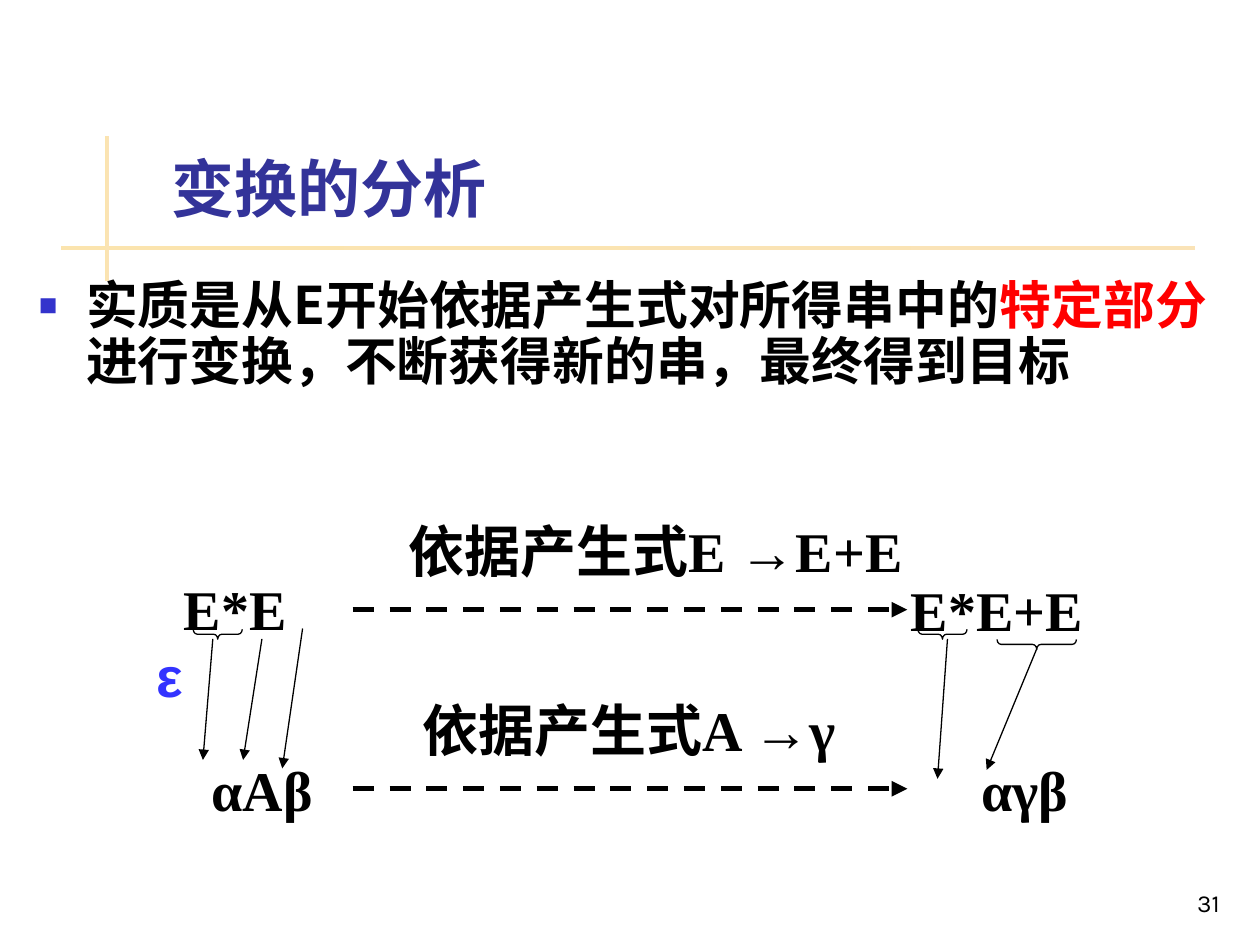
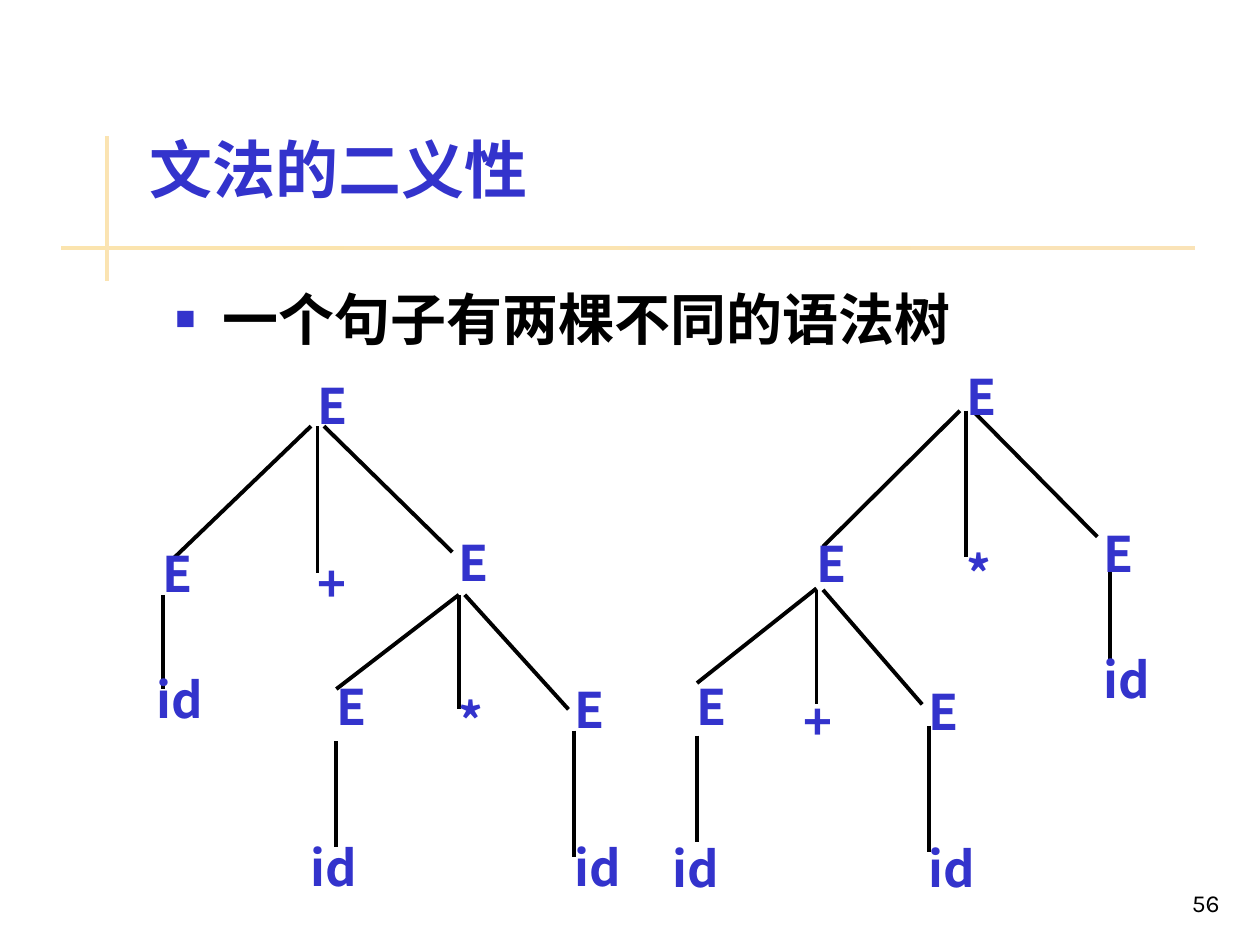
from dataclasses import dataclass
from typing import NamedTuple

from lxml.etree import SubElement as Sub
from pptx import Presentation
from pptx.dml.color import RGBColor
from pptx.enum.dml import MSO_LINE as Dash
from pptx.enum.shapes import MSO_CONNECTOR as Link, MSO_SHAPE as Kind
from pptx.enum.text import MSO_ANCHOR as Anchor, MSO_AUTO_SIZE as Fit, PP_ALIGN as Align
from pptx.oxml import parse_xml
from pptx.oxml.ns import nsdecls, qn
from pptx.util import Cm, Pt

BLACK, RED, BLUE = "000000", "FF0000", "3333CC"
NAVY, BRIGHT = "333399", "3333FF"
GOLD = "FBE4AE", "FAE3B7"
SERIF, SANS, HAN, HAN_JP = "Times New Roman", "Karla", "Noto Sans CJK SC", "Noto Sans CJK JP"


class Box(NamedTuple):
    """A frame in centimetres."""
    x: float
    y: float
    w: float
    h: float


class Face(NamedTuple):
    """How text looks."""
    name: str
    size: float
    color: str = BLACK
    bold: bool = True


class Node(NamedTuple):
    """A symbol of a syntax tree, at its top left corner."""
    text: str
    x: float
    y: float


class Edge(NamedTuple):
    """A straight line from one point to another."""
    x1: float
    y1: float
    x2: float
    y2: float


@dataclass
class Tree:
    """A syntax tree with the width of its labels."""
    width: float
    nodes: list[Node]
    edges: list[Edge]


BANDS = [Box(2.11, 2.75, 0.08, 2.92), Box(1.23, 4.95, 22.86, 0.09)]
MATH = Face(SERIF, 32)
SYMBOL = Face(HAN, 28, BLUE)

RULES = [
    ("依据产生式E →E+E", Box(7.98, 10.29, 11.2, 1.63)),
    ("E*E+E", Box(18.11, 11.48, 4.3, 1.63)),
    ("αAβ", Box(4.01, 15.11, 2.9, 1.63)),
    ("依据产生式A →γ", Box(8.26, 13.89, 9.6, 1.63)),
    ("αγβ", Box(19.53, 15.11, 2.6, 1.63)),
]
STEPS = [Edge(7.11, y, 18.29, y) for y in (12.29, 15.9)]
BRACES = [Box(4.29, 12.29, 0.2, 0.99), Box(18.9, 12.29, 0.2, 0.99), Box(20.8, 12.19, 0.2, 1.6)]
MAPS = [
    Edge(4.29, 12.88, 4.09, 15.32),
    Edge(5.28, 12.88, 4.9, 15.32),
    Edge(6.1, 12.67, 5.69, 15.49),
    Edge(19.1, 12.88, 18.9, 15.7),
    Edge(20.9, 13.08, 19.89, 15.52),
]

SUM = Tree(
    1.96,
    [Node("E", 6.15, 7.32), Node("E", 3.02, 10.72), Node("+", 6.15, 10.92),
     Node("E", 8.99, 10.49), Node("id", 2.9, 13.26), Node("E", 6.53, 13.39),
     Node("*", 8.99, 13.67), Node("E", 11.33, 13.46),
     Node("id", 6.02, 16.64), Node("id", 11.33, 16.64)],
    [Edge(6.27, 8.59, 3.4, 11.35), Edge(6.4, 8.59, 6.4, 11.56),
     Edge(6.53, 8.59, 9.12, 11.13), Edge(3.28, 11.99, 3.28, 13.89),
     Edge(9.25, 11.99, 6.78, 13.89), Edge(9.25, 11.99, 9.25, 14.3),
     Edge(9.37, 11.99, 11.46, 14.3), Edge(6.78, 14.94, 6.78, 17.07),
     Edge(11.58, 14.73, 11.58, 17.27)],
)
PRODUCT = Tree(
    1.88,
    [Node("E", 19.23, 7.14), Node("E", 16.21, 10.52), Node("*", 19.23, 10.72),
     Node("E", 22, 10.31), Node("id", 22, 12.85), Node("E", 13.79, 13.39),
     Node("+", 15.95, 13.69), Node("E", 18.47, 13.49),
     Node("id", 13.31, 16.66), Node("id", 18.47, 16.66)],
    [Edge(19.35, 8.28, 16.59, 11.02), Edge(19.48, 8.28, 19.48, 11.23),
     Edge(19.61, 8.28, 22.12, 10.82), Edge(22.38, 11.46, 22.38, 13.36),
     Edge(16.46, 11.86, 14.05, 13.77), Edge(16.46, 11.89, 16.46, 14.2),
     Edge(16.59, 11.89, 18.59, 14.2), Edge(14.05, 14.83, 14.05, 16.97),
     Edge(18.72, 14.63, 18.72, 17.17)],
)


def paint(target, color: str) -> None:
    """Give a solid colour to a fill, a font or a gradient stop."""
    if hasattr(target, "solid"):
        target.solid()
        target.fore_color.rgb = RGBColor.from_string(color)
    else:
        target.color.rgb = RGBColor.from_string(color)


def style(para, face: Face) -> None:
    """Set the font of a whole paragraph, Chinese characters included."""
    font = para.font
    font.name, font.size, font.bold = face.name, Pt(face.size), face.bold
    paint(font, face.color)
    east = face.name if face.name == HAN_JP else HAN
    Sub(para._p.pPr.find(qn("a:defRPr")), qn("a:ea"), typeface=east)


def place(shape, box: Box) -> None:
    """Move and size a shape."""
    shape.left, shape.top, shape.width, shape.height = map(Cm, box)


def write(slide, text: str, box: Box, face: Face):
    """Add a text box and return its paragraph."""
    frame = slide.shapes.add_textbox(*map(Cm, box)).text_frame
    frame.word_wrap, frame.auto_size = True, Fit.NONE
    para = frame.paragraphs[0]
    para.text = text
    style(para, face)
    return para


def draw(slide, edge: Edge, width: float, arrow: bool = False, dash: bool = False) -> None:
    """Draw a black line, with an arrowhead or dashes on request."""
    link = slide.shapes.add_connector(Link.STRAIGHT, *map(Cm, edge))
    link.line.width = Pt(width)
    paint(link.line.fill, BLACK)
    if dash:
        link.line.dash_style = Dash.DASH
    props = link._element.spPr
    if arrow:
        Sub(props.find(qn("a:ln")), qn("a:tailEnd"), type="triangle")
    Sub(props, qn("a:effectLst"))


def brace(slide, box: Box) -> None:
    """Draw a brace lying under a part of a string."""
    shape = slide.shapes.add_shape(Kind.LEFT_BRACE, *map(Cm, box))
    shape.rotation = 270
    shape.adjustments[0] = 0.42
    shape.shadow.inherit = False
    shape.fill.background()
    shape.line.width = Pt(0.74)
    paint(shape.line.fill, BLACK)


def grow(slide, tree: Tree) -> None:
    """Draw a syntax tree."""
    for edge in tree.edges:
        draw(slide, edge, 2.24)
    for node in tree.nodes:
        para = write(slide, node.text, Box(node.x, node.y, tree.width, 1.55), SYMBOL)
        para.line_spacing, para.space_before = 1.1, Pt(17.5)


def frame_layout(layout, slide) -> None:
    """Put the golden bands behind everything on the layout."""
    for box in BANDS:
        band = slide.shapes.add_shape(Kind.RECTANGLE, *map(Cm, box))
        band.shadow.inherit = False
        band.line.fill.background()
        band.fill.gradient()
        band.fill.gradient_angle = 0
        for stop, color in zip(band.fill.gradient_stops, GOLD):
            paint(stop, color)
        layout.shapes._spTree.insert(2, band._element)


def head(slide, text: str, box: Box, face: Face, anchor) -> None:
    """Fill the title."""
    title = slide.shapes.title
    place(title, box)
    frame = title.text_frame
    frame.auto_size, frame.vertical_anchor = Fit.NONE, anchor
    para = frame.paragraphs[0]
    para.text, para.alignment = text, Align.LEFT
    style(para, face)


def point(slide, parts: list[tuple[str, str]], box: Box, face: Face, gap: float) -> None:
    """Fill the body with one bulleted paragraph of coloured parts."""
    body = slide.placeholders[1]
    place(body, box)
    body.text_frame.auto_size = Fit.NONE
    para = body.text_frame.paragraphs[0]
    para.line_spacing, para.space_before = gap, Pt(8)
    style(para, face)
    for text, color in parts:
        run = para.add_run()
        run.text = text
        if color != face.color:
            paint(run.font, color)
    props = para._p.pPr
    props.set("marL", str(Cm(0.95)))
    props.set("indent", str(-Cm(0.95)))
    ns, last = nsdecls("a"), props.find(qn("a:defRPr"))
    for xml in (
        f'<a:buClr {ns}><a:srgbClr val="{BLUE}"/></a:buClr>',
        f'<a:buSzPct {ns} val="60000"/>',
        f'<a:buChar {ns} char="■"/>',
    ):
        last.addprevious(parse_xml(xml))


def number(slide, text: str) -> None:
    """Write the page number."""
    para = write(slide, text, Box(19.56, 17.35, 5.28, 1.27), Face(SANS, 14, bold=False))
    para.alignment = Align.RIGHT
    slide.shapes[-1].text_frame.vertical_anchor = Anchor.BOTTOM


def derive(slide) -> None:
    """Build the slide on derivation steps."""
    head(slide, "变换的分析", Box(3.2, 0.6, 21.64, 4.06), Face(HAN_JP, 36, NAVY), Anchor.BOTTOM)
    parts = [("实质是从E开始依据产生式对所得串中的", BLACK), ("特定部分", RED),
             ("进行变换，不断获得新的串，最终得到目标", BLACK)]
    point(slide, parts, Box(0.53, 5.52, 24.87, 3), Face(HAN_JP, 29.6), 0.9)
    start = write(slide, "E*E ", Box(2.9, 11.46, 3.6, 2.9), MATH)
    start._p.pPr.set("indent", str(Cm(0.56)))
    empty = start.add_run()
    empty.text, empty.font.name = "ε", "Arial"
    paint(empty.font, BRIGHT)
    for text, box in RULES:
        write(slide, text, box, MATH)
    for edge in STEPS:
        draw(slide, edge, 3, arrow=True, dash=True)
    for box in BRACES:
        brace(slide, box)
    for edge in MAPS:
        draw(slide, edge, 0.74, arrow=True)
    number(slide, "31")


def compare(slide) -> None:
    """Build the slide on two trees for one sentence."""
    head(slide, "文法的二义性", Box(2.76, 2.33, 22.64, 2.13), Face(SERIF, 36, BLUE), Anchor.MIDDLE)
    point(slide, [("一个句子有两棵不同的语法树", BLACK)], Box(3.28, 5.61, 21.59, 2.13), Face(SANS, 32), 1)
    for tree in (PRODUCT, SUM):
        grow(slide, tree)
    number(slide, "56")


def main() -> None:
    """Build and save the slides."""
    deck = Presentation()
    deck.slide_width, deck.slide_height = Cm(25.4), Cm(19.05)
    layout = deck.slide_layouts[1]
    first, second = (deck.slides.add_slide(layout) for _ in range(2))
    frame_layout(layout, first)
    derive(first)
    compare(second)
    deck.save("out.pptx")


main()
